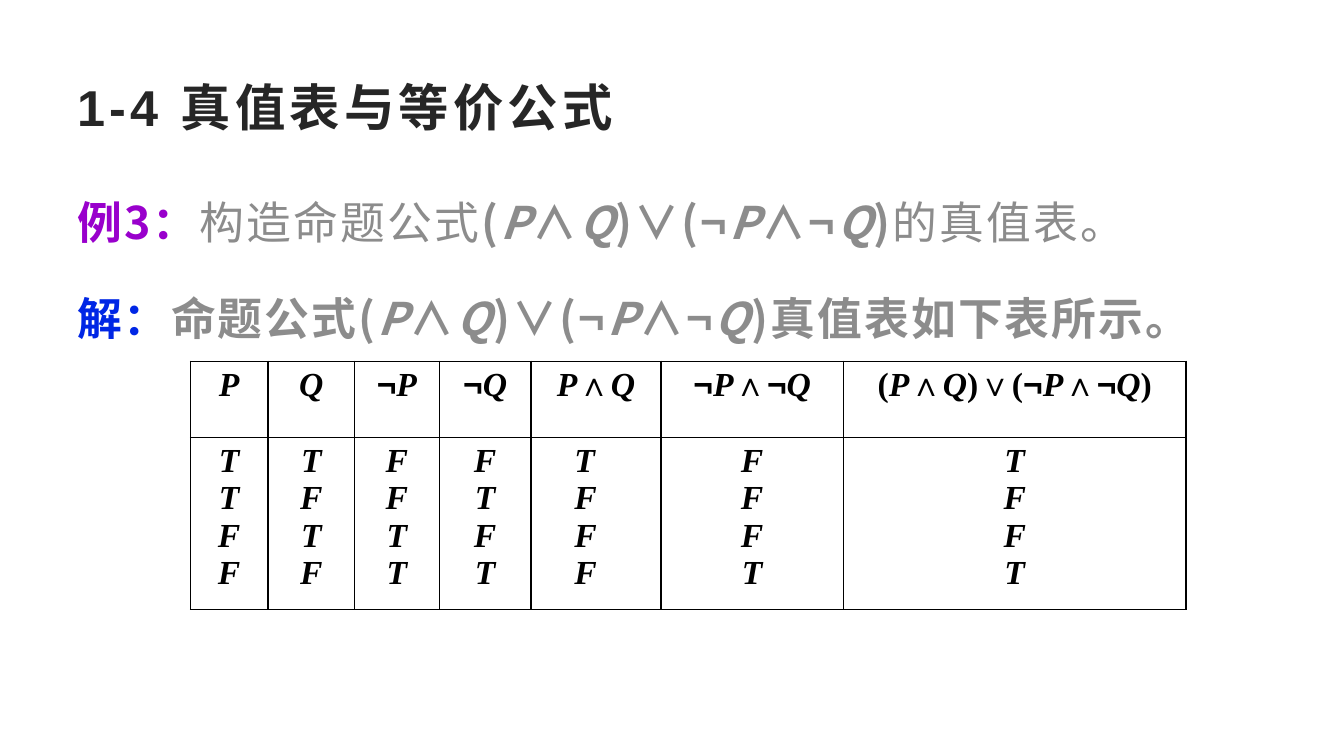
from itertools import groupby

from lxml.etree import SubElement
from pptx import Presentation
from pptx.dml.color import RGBColor
from pptx.enum.text import MSO_ANCHOR, PP_ALIGN
from pptx.oxml.ns import qn
from pptx.util import Pt

COLORS = {
    "title": "262626",
    "body": "8C8C8C",
    "example": "9900CC",
    "solution": "0026E5",
    "table": "000000",
}
CHINESE = "Noto Sans CJK SC"
SERIF = "Times New Roman"
SANS = "Arial"
VARIABLES = "PQTF"

FORMULA = "(P∧Q)∨(¬P∧¬Q)"
COLUMN_WIDTHS = [55.4, 61.9, 60.5, 65.5, 92.9, 130.3, 244.8]
ROW_HEIGHTS = [54.7, 122.4]
TRUTH_TABLE = {
    "P": "TTFF",
    "Q": "TFTF",
    "¬P": "FFTT",
    "¬Q": "FTFT",
    "P∧Q": "TFFF",
    "¬P∧¬Q": "FFFT",
    FORMULA: "TFFT",
}


def add_run(paragraph, text, size, font_name, color, bold=True, italic=False, spacing=0):
    run = paragraph.add_run()
    run.text = text
    font = run.font
    font.size = Pt(size)
    font.name = font_name
    font.bold = bold
    font.italic = italic
    font.color.rgb = RGBColor.from_string(COLORS[color])
    if spacing:
        properties = run._r.get_or_add_rPr()
        properties.set("spc", str(int(spacing * 100)))
        SubElement(properties, qn("a:ea")).set("typeface", CHINESE)


def add_formula(paragraph, formula, size, font_name, color, negation_font, spacing=0):
    """Add runs with the variables in italics and the negation sign in its own font."""
    def style(character):
        font = negation_font if character == "¬" else font_name
        return font, character in VARIABLES

    for (font, italic), characters in groupby(formula, key=style):
        add_run(paragraph, "".join(characters), size, font, color,
                italic=italic, spacing=spacing)


def add_text_box(slide, left, top, width, height, anchor):
    box = slide.shapes.add_textbox(Pt(left), Pt(top), Pt(width), Pt(height))
    frame = box.text_frame
    frame.word_wrap = True
    frame.vertical_anchor = anchor
    return frame


def add_title(slide, left, top, width, height):
    frame = add_text_box(slide, left, top, width, height, MSO_ANCHOR.MIDDLE)
    add_run(frame.paragraphs[0], "1-4 真值表与等价公式", 36, SANS, "title", spacing=3)


def add_example(slide, left, top, width, height):
    frame = add_text_box(slide, left, top, width, height, MSO_ANCHOR.TOP)
    lines = [
        ("例3：", "example", "构造命题公式", "的真值表。", False),
        ("解：", "solution", "命题公式", "真值表如下表所示。", True),
    ]
    for index, (label, label_color, before, after, bold) in enumerate(lines):
        paragraph = frame.add_paragraph() if index else frame.paragraphs[0]
        paragraph.line_spacing = 1.3
        if index:
            paragraph.space_before = Pt(19)
        add_run(paragraph, label, 32, CHINESE, label_color, spacing=1.5)
        add_run(paragraph, before, 32, CHINESE, "body", bold, spacing=1.5)
        add_formula(paragraph, FORMULA, 32, CHINESE, "body", CHINESE, spacing=1.5)
        add_run(paragraph, after, 32, CHINESE, "body", bold, spacing=1.5)


def format_cell(cell):
    cell.margin_left = cell.margin_right = Pt(9.4)
    cell.margin_top = cell.margin_bottom = Pt(3.6)
    properties = cell._tc.get_or_add_tcPr()
    for side in ("lnL", "lnR", "lnT", "lnB"):
        line = SubElement(properties, qn(f"a:{side}"), w=str(Pt(1)))
        fill = SubElement(line, qn("a:solidFill"))
        SubElement(fill, qn("a:srgbClr"), val=COLORS["table"])
    cell.fill.background()


def add_truth_table(slide, left, top):
    table = slide.shapes.add_table(
        len(ROW_HEIGHTS), len(COLUMN_WIDTHS), Pt(left), Pt(top),
        Pt(sum(COLUMN_WIDTHS)), Pt(sum(ROW_HEIGHTS))).table
    table.first_row = False
    table.horz_banding = False
    for row, height in zip(table.rows, ROW_HEIGHTS):
        row.height = Pt(height)
    for column, width in zip(table.columns, COLUMN_WIDTHS):
        column.width = Pt(width)

    for column_index, (heading, values) in enumerate(TRUTH_TABLE.items()):
        for row_index, entries in enumerate(([heading], values)):
            cell = table.cell(row_index, column_index)
            format_cell(cell)
            frame = cell.text_frame
            for index, entry in enumerate(entries):
                paragraph = frame.add_paragraph() if index else frame.paragraphs[0]
                if row_index and heading == "P∧Q":
                    paragraph._p.get_or_add_pPr().set("indent", str(Pt(21.6)))
                else:
                    paragraph.alignment = PP_ALIGN.CENTER
                add_formula(paragraph, entry, 24, SERIF, "table", SANS)


def main():
    presentation = Presentation()
    presentation.slide_width = Pt(960)
    presentation.slide_height = Pt(540)
    slide = presentation.slides.add_slide(presentation.slide_layouts[6])
    add_example(slide, 48, 124, 864, 134)
    add_title(slide, 48, 48, 864, 55.4)
    add_truth_table(slide, 136, 258)
    presentation.save("out.pptx")


if __name__ == "__main__":
    main()
